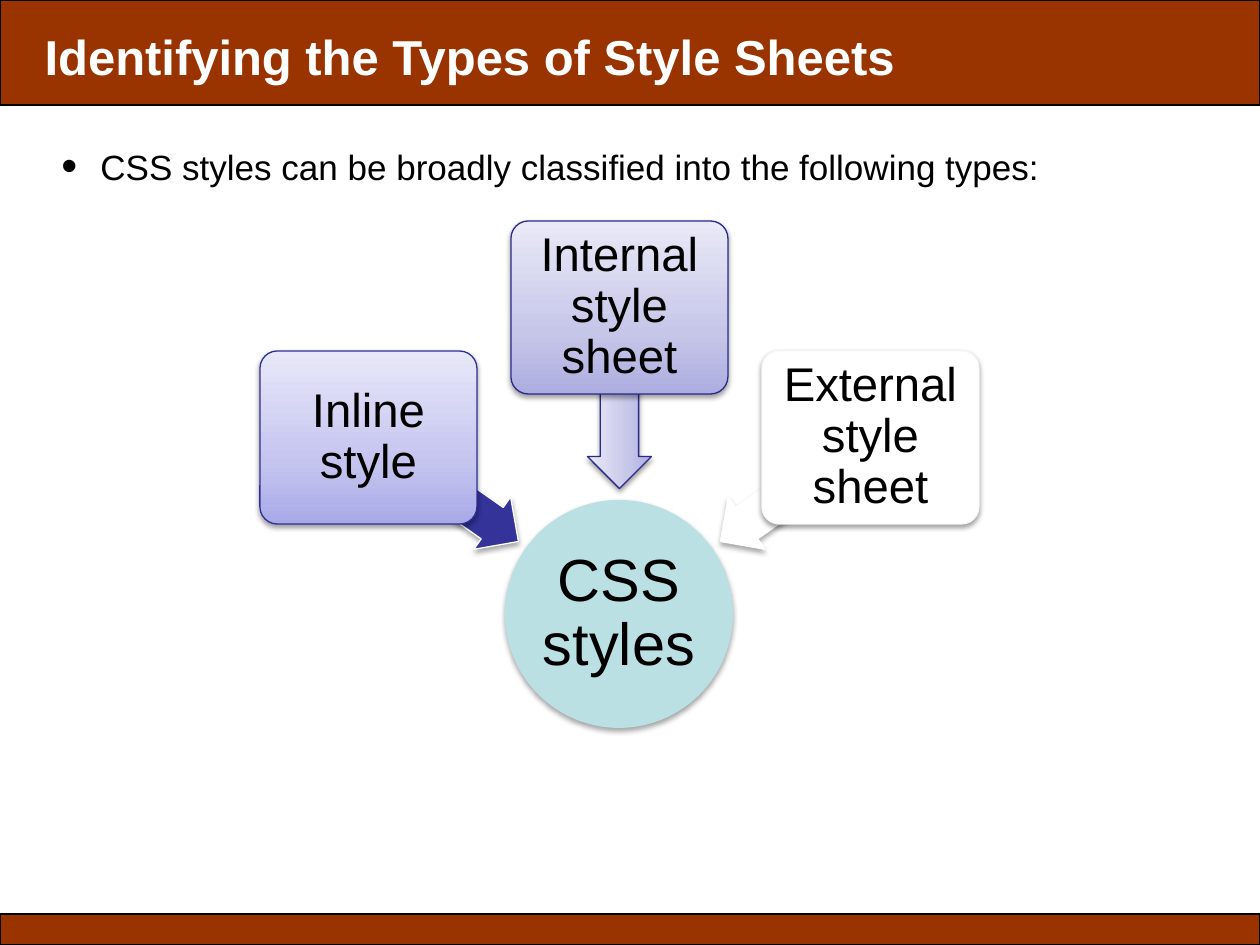
"""Build a slide that shows three kinds of style sheet leading to CSS styles."""
from lxml.etree import SubElement
from pptx import Presentation
from pptx.dml.color import RGBColor
from pptx.enum.shapes import MSO_SHAPE as Shape
from pptx.enum.text import MSO_ANCHOR as Anchor, MSO_AUTO_SIZE as AutoSize, PP_ALIGN as Align
from pptx.oxml.ns import qn
from pptx.util import Pt

PX = 914400 / 126
COLORS = {
    "rust": "993300", "black": "000000", "white": "FFFFFF", "aqua": "BBE0E3",
    "navy": "333399", "inline_edge": "2F2F98", "internal_edge": "2A2A89", "pale_edge": "F9F9F9",
}
GRADIENTS = {
    "inline": ((0, "A9A9E9"), (35, "C4C4EF"), (100, "E8E8FA")),
    "internal": ((0, "ADADE1"), (35, "C6C6E9"), (100, "E9E9F7")),
}


def write_text(shape, text, size, color="black", bold=False, align=Align.LEFT,
               anchor=Anchor.TOP, spacing=None, inset=None, wrap=True):
    frame = shape.text_frame
    frame.word_wrap = wrap
    frame.auto_size = AutoSize.NONE
    frame.vertical_anchor = anchor
    if inset is not None:
        frame.margin_left = frame.margin_right = round(inset * PX)
        frame.margin_top = frame.margin_bottom = round(inset * PX)
    para = frame.paragraphs[0]
    para.text = text
    para.alignment = align
    para.line_spacing = spacing
    for span in para.runs:
        span.font.name = "Arial"
        span.font.size = Pt(size)
        span.font.bold = bold
        span.font.color.rgb = RGBColor.from_string(COLORS[color])
    return para


def add_figure(kind, bounds, fill, line=None, shadow=None, adjust=(), rotation=0):
    shape = page.shapes.add_shape(kind, *(round(value * PX) for value in bounds))
    shape.rotation = rotation
    for index, value in enumerate(adjust):
        shape.adjustments[index] = value
    if fill in GRADIENTS:
        shape.fill.gradient()
        shape.fill.gradient_angle = 90
        stops = shape.element.spPr.find(qn("a:gradFill")).find(qn("a:gsLst"))
        stops.clear()
        for position, color in GRADIENTS[fill]:
            stop = SubElement(stops, qn("a:gs"), pos=str(position * 1000))
            SubElement(stop, qn("a:srgbClr"), val=color)
    else:
        shape.fill.solid()
        shape.fill.fore_color.rgb = RGBColor.from_string(COLORS[fill])
    if line:
        shape.line.color.rgb = RGBColor.from_string(COLORS[line])
        shape.line.width = Pt(0.75)
    else:
        shape.line.fill.background()
    shape.shadow.inherit = False
    if shadow:
        opacity, distance = shadow
        effects = shape.element.spPr.find(qn("a:effectLst"))
        outer = SubElement(effects, qn("a:outerShdw"), blurRad=str(Pt(3.1)),
                           dist=str(Pt(distance)), dir="5400000", rotWithShape="0")
        tint = SubElement(outer, qn("a:srgbClr"), val=COLORS["black"])
        SubElement(tint, qn("a:alpha"), val=str(opacity * 1000))
    return shape


deck = Presentation()
deck.slide_width = round(1260 * PX)
deck.slide_height = round(945 * PX)
page = deck.slides.add_slide(deck.slide_layouts[5])

add_figure(Shape.RECTANGLE, (0, 914, 1260, 31), "rust", "black")
add_figure(Shape.RECTANGLE, (0, 0, 1260, 105), "rust", "black")

title = page.shapes.title
title.left, title.top, title.width, title.height = (round(value * PX) for value in (32, 20, 955, 72))
write_text(title, "Identifying the Types of Style Sheets", 28, color="white", bold=True)
page.shapes.element.append(title.element)

intro = page.shapes.add_textbox(*(round(value * PX) for value in (49, 139, 1012, 55)))
para = write_text(intro, "CSS styles can be broadly classified into the following types:", 20, wrap=False)
bullet_props = para._p.get_or_add_pPr()
bullet_props.set("marL", str(round(39 * PX)))
bullet_props.set("indent", str(round(-39 * PX)))
SubElement(bullet_props, qn("a:buSzPct"), val="130000")
SubElement(bullet_props, qn("a:buFont"), typeface="Arial")
SubElement(bullet_props, qn("a:buChar"), char="•")

SOFT, CLOSE = (35, 1.8), (38, 1.6)
centered = {"align": Align.CENTER, "anchor": Anchor.MIDDLE, "spacing": 0.9}

hub = add_figure(Shape.OVAL, (505, 500, 228, 228), "aqua", shadow=SOFT)
write_text(hub, "CSS\vstyles", 34, inset=2, **centered)

style_types = [
    ("Inline style", 351, "inline", "inline_edge", 457, 215, "navy", "white", SOFT),
    ("Internal style sheet", 221, "internal", "internal_edge", 365, 270, "internal", "internal_edge", CLOSE),
    ("External style sheet", 351, "white", "pale_edge", 457, 325, "white", "white", SOFT),
]
for column, (label, box_top, fill, edge, arrow_top, angle, arrow_fill, arrow_edge, shade) in enumerate(style_types):
    add_figure(Shape.LEFT_ARROW, (352 + 176 * column, arrow_top, 183, 64), arrow_fill, arrow_edge,
               shadow=shade, adjust=(0.6, 0.5), rotation=angle)
    box = add_figure(Shape.ROUNDED_RECTANGLE, (260 + 251 * column, box_top, 217, 173), fill, edge,
                     shadow=CLOSE, adjust=(0.1,))
    write_text(box, label, 27, inset=8, **centered)

deck.save("out.pptx")
